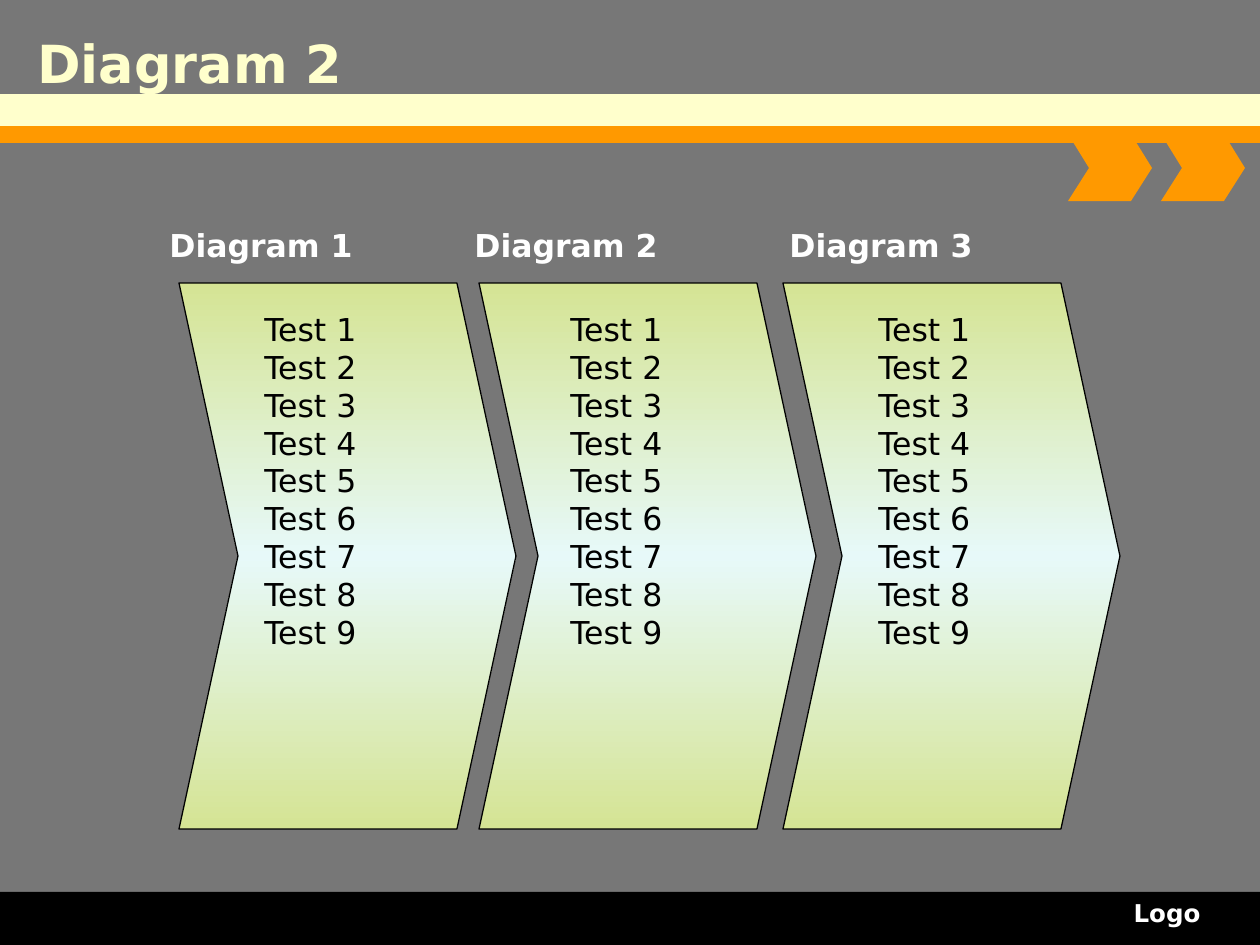
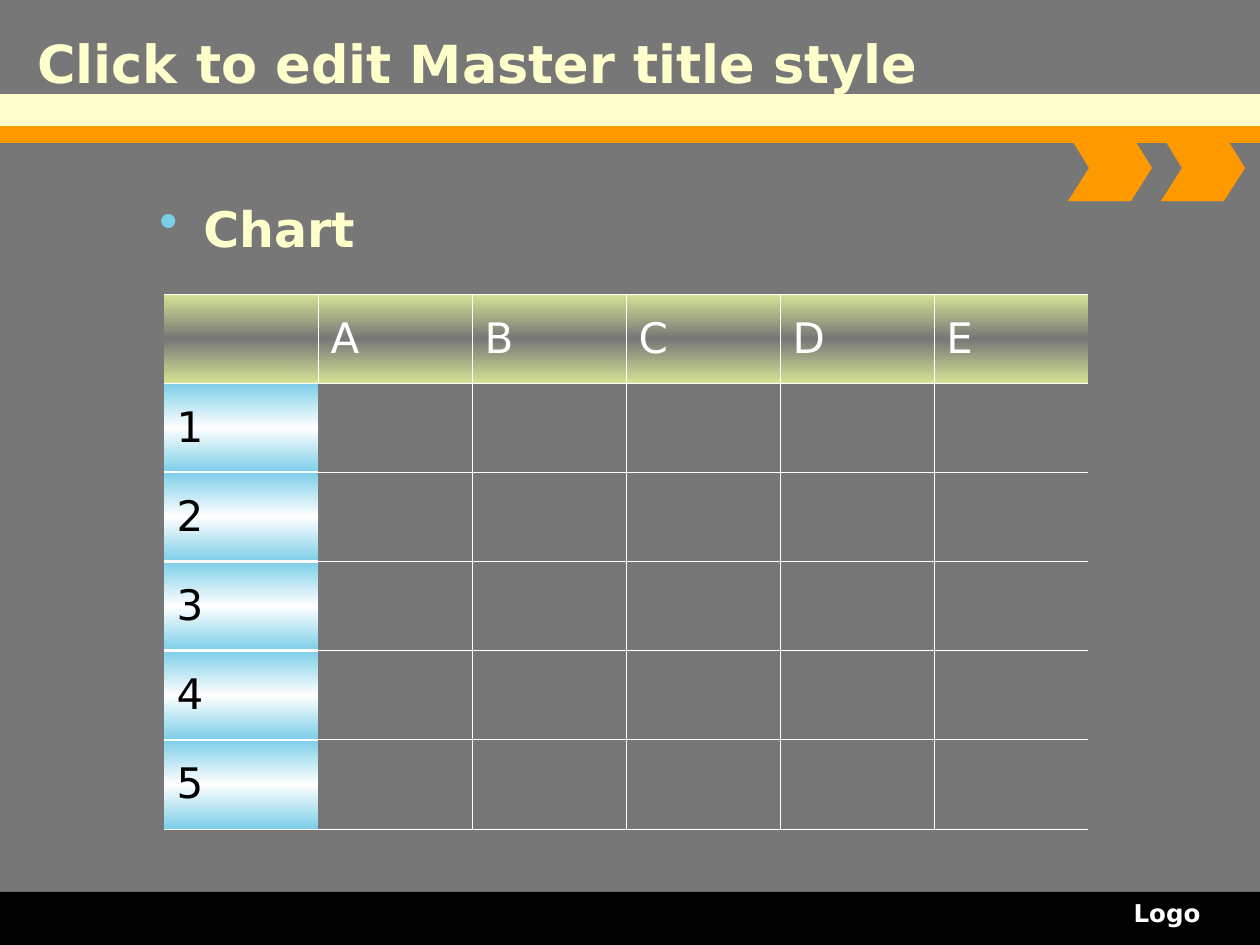
import copy

import pptx
import pptx.dml.color
import pptx.enum.shapes
import pptx.enum.text
import pptx.oxml
import pptx.oxml.ns
import pptx.util

SCALE = 914400 / 126
WIDE, HIGH = 1260, 945
FONT = "DejaVu Sans"
GREY, BLACK, WHITE = "777777", "000000", "FFFFFF"
CREAM, AMBER = "FFFFCC", "FF9900"
LIME, ICE, SKY = "D5E494", "E7F9F9", "7CCEE8"
ALIGN = pptx.enum.text.PP_ALIGN
MID = pptx.enum.text.MSO_ANCHOR.MIDDLE


def emu(px):
    return round(px * SCALE)


def tone(code):
    return pptx.dml.color.RGBColor.from_string(code)


def write(para, text, size, ink, bold=False):
    run = para.add_run()
    run.text = text
    run.font.name = FONT
    run.font.size = pptx.util.Pt(size)
    run.font.bold = bold
    run.font.color.rgb = tone(ink)


def label(slide, box, lines, size, ink, bold=False, align=ALIGN.LEFT, anchor=None):
    """Add a text box with one paragraph per line and return its frame."""
    frame = slide.shapes.add_textbox(*map(emu, box)).text_frame
    frame.word_wrap = True
    frame.vertical_anchor = anchor
    for num, line in enumerate(lines):
        para = frame.add_paragraph() if num else frame.paragraphs[0]
        para.alignment = align
        write(para, line, size, ink, bold)
    return frame


def paint(shape, fill):
    shape.shadow.inherit = False
    shape.fill.solid()
    shape.fill.fore_color.rgb = tone(fill)
    shape.line.fill.background()


def blend(fill, root, edge, core):
    """Fade from edge to core and back, top to bottom."""
    fill.gradient()
    fill.gradient_angle = 270
    stops = next(root.iter(pptx.oxml.ns.qn("a:gsLst")))
    stops.insert(1, copy.deepcopy(stops[0]))
    for stop, place, code in zip(fill.gradient_stops, (0, 0.5, 1), (edge, core, edge)):
        stop.position = place
        stop.color.rgb = tone(code)


def band(slide, top, height, fill):
    kind = pptx.enum.shapes.MSO_SHAPE.RECTANGLE
    paint(slide.shapes.add_shape(kind, 0, emu(top), emu(WIDE), emu(height)), fill)


def arrow(slide, box, notch):
    left, top, width, height = box
    right, mid, foot = left + width, top + height / 2, top + height
    path = slide.shapes.build_freeform(left, top, SCALE)
    path.add_line_segments([(right - notch, top), (right, mid), (right - notch, foot),
                            (left, foot), (left + notch, mid)])
    return path.convert_to_shape()


def base(deck, title):
    """Add a slide with the shared bands, arrows, title and footer."""
    slide = deck.slides.add_slide(deck.slide_layouts[6])
    slide.background.fill.solid()
    slide.background.fill.fore_color.rgb = tone(GREY)
    for top, height, fill in ((892, 53, BLACK), (94, 32, CREAM), (126, 17, AMBER)):
        band(slide, top, height, fill)
    for left in (1068, 1161):
        paint(arrow(slide, (left, 134, 84, 67), 21), AMBER)
    label(slide, (25, 21, 1203, 84), [title], 30, CREAM, True, anchor=MID)
    label(slide, (709, 892, 504, 42), ["Logo"], 14, WHITE, True, ALIGN.RIGHT)
    return slide


def stage(slide, box, title, head, inset):
    """Draw one step; head and inset shift its title and list from the box."""
    left, top, width, height = box
    shape = arrow(slide, box, 59)
    shape.shadow.inherit = False
    blend(shape.fill, shape.element, LIME, ICE)
    shape.line.color.rgb = tone(BLACK)
    shape.line.width = pptx.util.Pt(0.75)
    label(slide, (left + head, top - 63, 273, 50), [title], 18, WHITE, True)
    tests = [f"Test {num}" for num in range(1, 10)]
    label(slide, (left + inset, top + 21, 263, 391), tests, 18, BLACK)


def point(slide, box, text):
    para = label(slide, box, [text], 28, CREAM, True).paragraphs[0]
    props = para._p.get_or_add_pPr()
    props.set("marL", str(emu(44)))
    props.set("indent", str(-emu(44)))
    space = pptx.oxml.ns.nsdecls("a")
    for part in (f'<a:buClr {space}><a:srgbClr val="{SKY}"/></a:buClr>',
                 f'<a:buSzPct {space} val="110000"/>',
                 f'<a:buChar {space} char="•"/>'):
        props.append(pptx.oxml.parse_xml(part))


def edge(cell, widths):
    """Set the left, right, top and bottom border widths; 0 hides a border."""
    props = cell._tc.get_or_add_tcPr()
    space = pptx.oxml.ns.nsdecls("a")
    for num, (side, width) in enumerate(zip("LRTB", widths)):
        fill = f'<a:solidFill><a:srgbClr val="{WHITE}"/></a:solidFill>' if width else "<a:noFill/>"
        props.insert(num, pptx.oxml.parse_xml(
            f'<a:ln{side} {space} w="{pptx.util.Pt(width)}">{fill}</a:ln{side}>'))


def grid(slide, box, heads, names):
    left, top, width, height = box
    rows, cols = len(names) + 1, len(heads) + 1
    table = slide.shapes.add_table(rows, cols, *map(emu, box)).table
    table.first_row = table.horz_banding = False
    for line in table.rows:
        line.height = emu(height / rows)
    for line in table.columns:
        line.width = emu(width / cols)
    thin, thick = 0.45, 1.47
    for row in range(rows):
        for col in range(cols):
            cell = table.cell(row, col)
            cell.vertical_anchor = MID
            para = cell.text_frame.paragraphs[0]
            para.space_before = pptx.util.Pt(6)
            if row == 0:
                blend(cell.fill, cell._tc, LIME, GREY)
                if col:
                    write(para, heads[col - 1], 24, WHITE)
            elif col == 0:
                blend(cell.fill, cell._tc, SKY, WHITE)
                write(para, names[row - 1], 24, BLACK)
            else:
                cell.fill.background()
            first = 0 if row == 0 else 1
            edge(cell, (thin if col > first else 0,
                        thin if first <= col < cols - 1 else 0,
                        thick if col == 0 and row > 1 else thin,
                        thick if col == 0 and 0 < row < rows - 1 else thin))


def steps(deck):
    slide = base(deck, "Diagram 2")
    places = ((179, -22, 73), (479, -17, 79), (783, -6, 83))
    for num, (left, head, inset) in enumerate(places, 1):
        stage(slide, (left, 283, 337, 546), f"Diagram {num}", head, inset)


def chart(deck):
    slide = base(deck, "Click to edit Master title style")
    grid(slide, (164, 294, 924, 535), "ABCDE", "12345")
    point(slide, (147, 192, 494, 72), "Chart")


def main():
    deck = pptx.Presentation()
    deck.slide_width, deck.slide_height = emu(WIDE), emu(HIGH)
    steps(deck)
    chart(deck)
    deck.save("out.pptx")


if __name__ == "__main__":
    main()
